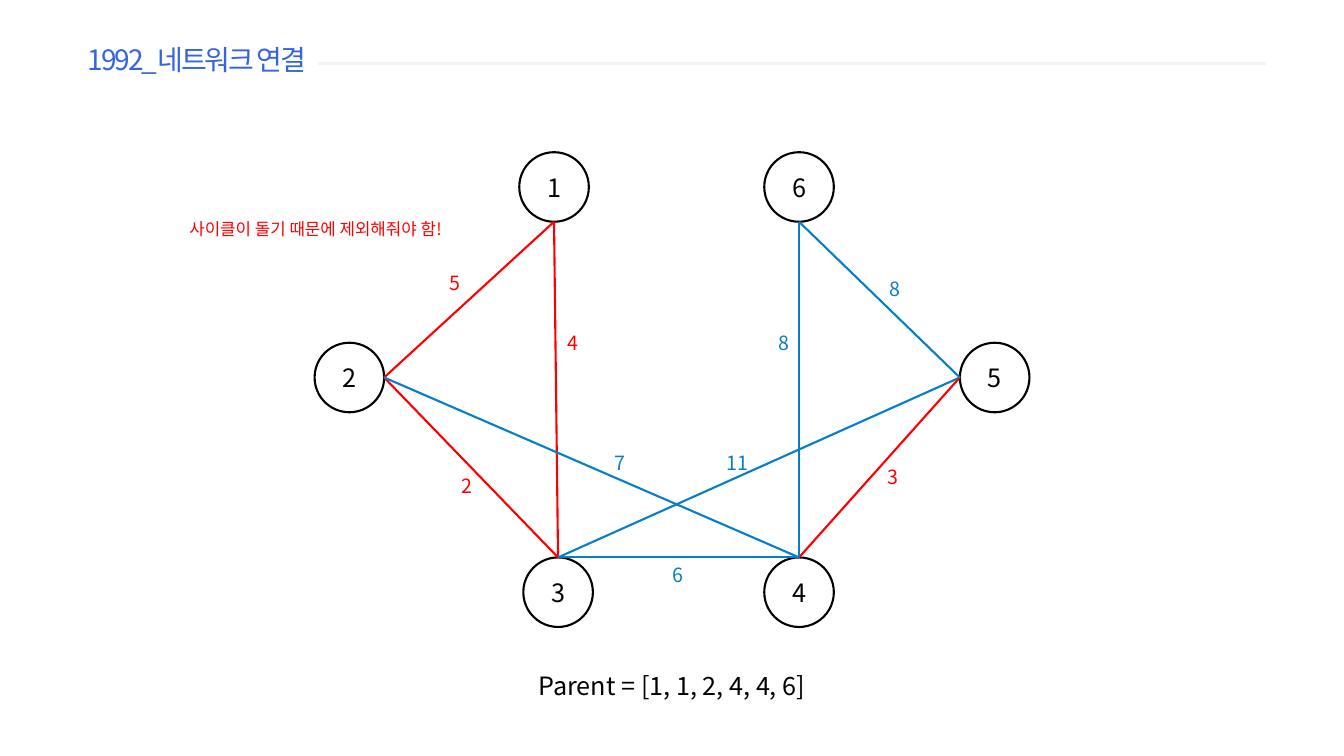
from dataclasses import dataclass

from lxml.etree import SubElement
from pptx import Presentation
from pptx.dml.color import RGBColor
from pptx.enum.shapes import MSO_CONNECTOR as Connector, MSO_SHAPE as Shape
from pptx.enum.text import MSO_ANCHOR as Anchor, MSO_AUTO_SIZE as AutoSize, PP_ALIGN as Align
from pptx.oxml.ns import qn
from pptx.util import Inches, Pt

# Content
TITLE = "1992_네트워크 연결"
WARNING = "사이클이 돌기 때문에 제외해줘야 함!"
PARENTS = "Parent = [1, 1, 2, 4, 4, 6]"

# Node: left, top, side where its edges meet
NODES = {
    1: (5.15, 1.51, "bottom"),
    4: (7.58, 5.53, "top"),
    2: (3.12, 3.4, "right"),
    5: (9.52, 3.4, "left"),
    3: (5.19, 5.53, "top"),
    6: (7.58, 1.51, "bottom"),
}
# Edge: from, to, weight, chosen for the tree, label left, label top
EDGES = [
    (1, 2, 5, True, 4.36, 2.64),
    (1, 3, 4, True, 5.53, 3.23),
    (2, 3, 2, True, 4.48, 4.65),
    (2, 4, 7, False, 6, 4.42),
    (3, 4, 6, False, 6.57, 5.54),
    (3, 5, 11, False, 7.11, 4.42),
    (4, 5, 3, True, 8.7, 4.56),
    (4, 6, 8, False, 7.62, 3.23),
    (5, 6, 8, False, 8.72, 2.7),
]
DIAMETER = 0.69
SIDES = {"top": (0.5, 0), "left": (0, 0.5), "bottom": (0.5, 1), "right": (1, 0.5)}


@dataclass(frozen=True)
class Theme:
    font: str = "Noto Sans CJK KR"
    title_colors: tuple = ("3464E0", "4270E2")
    rule: str = "F2F2F2"
    ink: str = "000000"
    chosen: str = "FF0000"
    other: str = "067EC9"
    title_size: int = 20
    node_size: int = 18
    weight_size: int = 14
    warning_size: int = 12
    line_width: float = 1.5


theme = Theme()


def style_text(para, size, color=None, align=Align.LEFT):
    para.alignment = align
    font = para.font
    font.size = Pt(size)
    if color:
        font.color.rgb = RGBColor.from_string(color)
    else:
        font.fill.gradient()
        font.fill.gradient_angle = 180
        for stop, tint in zip(font.fill.gradient_stops, theme.title_colors):
            stop.color.rgb = RGBColor.from_string(tint)
    font.name = theme.font
    SubElement(font._element, qn("a:ea"), typeface=theme.font)


def add_label(page, text, left, top, width, height, size, color, align=Align.LEFT):
    box = page.shapes.add_textbox(*map(Inches, (left, top, width, height)))
    frame = box.text_frame
    frame.word_wrap = False
    frame.auto_size = AutoSize.SHAPE_TO_FIT_TEXT
    frame.text = text
    style_text(frame.paragraphs[0], size, color, align)


def add_line(page, start, end, color):
    line = page.shapes.add_connector(Connector.STRAIGHT, *map(Inches, (*start, *end)))
    line.line.color.rgb = RGBColor.from_string(color)
    line.line.width = Pt(theme.line_width)
    SubElement(line._element.spPr, qn("a:effectLst"))


def add_node(page, number, left, top):
    node = page.shapes.add_shape(Shape.OVAL, *map(Inches, (left, top, DIAMETER, DIAMETER)))
    node.shadow.inherit = False
    node.fill.background()
    node.line.color.rgb = RGBColor.from_string(theme.ink)
    node.line.width = Pt(theme.line_width)
    frame = node.text_frame
    frame.vertical_anchor = Anchor.MIDDLE
    frame.text = str(number)
    style_text(frame.paragraphs[0], theme.node_size, theme.ink, Align.CENTER)


def meeting_point(number):
    left, top, side = NODES[number]
    across, down = SIDES[side]
    return left + across * DIAMETER, top + down * DIAMETER


def add_title(page):
    title = page.shapes.title
    title.left, title.top, title.width, title.height = map(Inches, (0.77, 0.42, 2.38, 0.44))
    frame = title.text_frame
    frame.word_wrap = True
    frame.auto_size = AutoSize.NONE
    frame.vertical_anchor = Anchor.TOP
    frame.text = TITLE
    para = frame.paragraphs[0]
    para.line_spacing = 0.85
    style_text(para, theme.title_size)
    para.font._element.set("spc", "-150")


def main():
    deck = Presentation()
    deck.slide_width, deck.slide_height = Inches(13.33), Inches(7.5)
    page = deck.slides.add_slide(deck.slide_layouts[5])

    # Heading
    add_title(page)
    add_line(page, (3.15, 0.63), (12.56, 0.63), theme.rule)

    # Graph nodes, then edges, then weights
    for number, (left, top, _) in NODES.items():
        add_node(page, number, left, top)
    for start, end, _, chosen, *_ in EDGES:
        color = theme.chosen if chosen else theme.other
        add_line(page, meeting_point(start), meeting_point(end), color)
    for _, _, weight, chosen, left, top in EDGES:
        color = theme.chosen if chosen else theme.other
        width = 0.2 + 0.11 * len(str(weight))
        add_label(page, str(weight), left, top, width, 0.34, theme.weight_size, color)

    # Remarks
    add_label(page, WARNING, 1.78, 2.12, 2.71, 0.3, theme.warning_size, theme.chosen)
    add_label(page, PARENTS, 5.13, 6.6, 3.07, 0.4, theme.node_size, theme.ink, Align.CENTER)

    deck.save("out.pptx")


if __name__ == "__main__":
    main()
